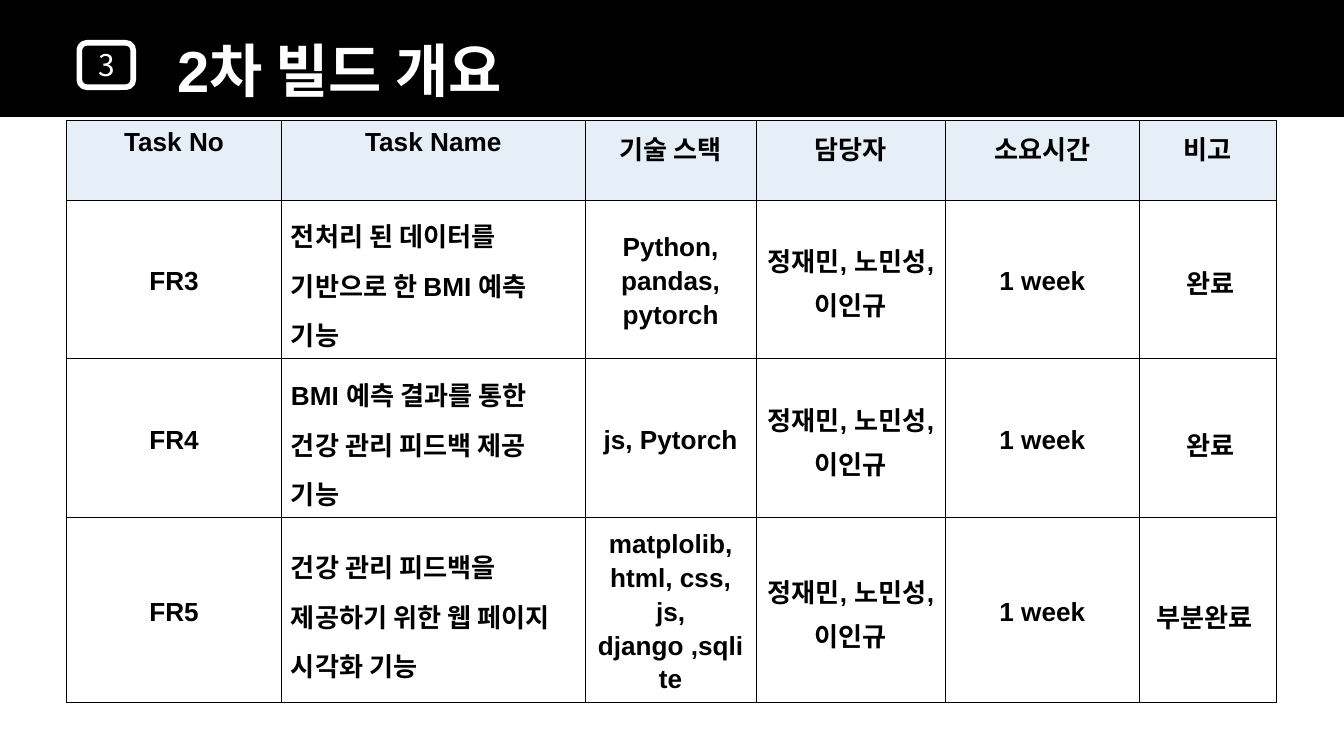
from lxml import etree
from pptx import Presentation
from pptx.dml.color import RGBColor
from pptx.enum.shapes import MSO_SHAPE
from pptx.enum.text import MSO_ANCHOR, PP_ALIGN
from pptx.oxml.ns import qn
from pptx.util import Cm, Pt

CENTER, LEFT = PP_ALIGN.CENTER, PP_ALIGN.LEFT
MIDDLE, TOP = MSO_ANCHOR.MIDDLE, MSO_ANCHOR.TOP
LATIN, KOREAN = "Arial", "Noto Sans CJK KR"
BLACK, WHITE, HEADER_FILL = "000000", "FFFFFF", "E6EEF7"


def color(value):
    return RGBColor.from_string(value)


def format_text(paragraph, size, value, latin=LATIN, bold=True):
    """Style every run, with the Korean font for East Asian letters."""
    for run in paragraph.runs:
        font = run.font
        font.size, font.name, font.bold = Pt(size), latin, bold
        font.color.rgb = color(value)
        etree.SubElement(run._r.get_or_add_rPr(), qn("a:ea"), typeface=KOREAN)


prs = Presentation()
prs.slide_width, prs.slide_height = Cm(25.4), Cm(14.29)
slide = prs.slides.add_slide(prs.slide_layouts[6])

# Title band
band = slide.shapes.add_shape(MSO_SHAPE.RECTANGLE, 0, 0, Cm(25.4), Cm(2.21))
band.shadow.inherit = False
band.fill.solid()
band.fill.fore_color.rgb = color(BLACK)
band.line.fill.background()

section_number = slide.shapes.add_shape(
    MSO_SHAPE.ROUNDED_RECTANGLE, Cm(1.5), Cm(0.81), Cm(1.02), Cm(0.84))
section_number.shadow.inherit = False
section_number.fill.background()
section_number.line.color.rgb = color(WHITE)
section_number.line.width = Pt(3)
section_number.text_frame.text = "3"
section_number.text_frame.vertical_anchor = MIDDLE
section_number.text_frame.paragraphs[0].alignment = CENTER
format_text(section_number.text_frame.paragraphs[0], 16, WHITE, KOREAN, False)

title = slide.shapes.add_textbox(Cm(3.1), Cm(0.53), Cm(10), Cm(1.55))
title.text_frame.word_wrap = True
title.text_frame.text = "2차 빌드 개요"
format_text(title.text_frame.paragraphs[0], 31, WHITE)

# Task table
TEAM, DURATION = "정재민, 노민성, 이인규", "1 week"
tasks = [
    ["Task No", "Task Name", "기술 스택", "담당자", "소요시간", "비고"],
    ["FR3", "전처리 된 데이터를 기반으로 한 BMI 예측 기능",
     "Python, pandas, pytorch", TEAM, DURATION, " 완료"],
    ["FR4", "BMI 예측 결과를 통한 건강 관리 피드백 제공 기능",
     "js, Pytorch", TEAM, DURATION, " 완료"],
    ["FR5", "건강 관리 피드백을 제공하기 위한 웹 페이지 시각화 기능",
     "matplolib, html, css, js, django ,sqlite", TEAM, DURATION, "부분완료 "],
]
column_widths = [4.06, 5.74, 3.23, 3.58, 3.66, 2.59]
row_heights = [1.5, 3, 3, 3.44]
NAME_COLUMN, REMARK_COLUMN = 1, 5

task_table = slide.shapes.add_table(
    len(tasks), len(column_widths), Cm(1.26), Cm(2.28),
    Cm(sum(column_widths)), Cm(sum(row_heights))).table
for column, width in zip(task_table.columns, column_widths):
    column.width = Cm(width)
for row, height in zip(task_table.rows, row_heights):
    row.height = Cm(height)

for r, task in enumerate(tasks):
    for c, entry in enumerate(task):
        cell = task_table.cell(r, c)
        is_header = r == 0
        is_name = c == NAME_COLUMN and not is_header
        is_loose_remark = c == REMARK_COLUMN and r >= 2

        cell.margin_left = cell.margin_right = Cm(0.18)
        cell.margin_top = cell.margin_bottom = Cm(0.05)
        cell.vertical_anchor = TOP if is_header else MIDDLE

        cell.text_frame.text = entry
        paragraph = cell.text_frame.paragraphs[0]
        paragraph.alignment = LEFT if is_name else CENTER
        paragraph.line_spacing = 1.3 if is_name or is_loose_remark else 1.15
        paragraph.space_before = paragraph.space_after = Pt(14 if is_loose_remark else 12)
        format_text(paragraph, 14, BLACK)

        cell_properties = cell._tc.get_or_add_tcPr()
        for side in ("lnL", "lnR", "lnT", "lnB"):
            border = etree.SubElement(cell_properties, qn(f"a:{side}"), w=str(Pt(0.6)))
            border_fill = etree.SubElement(border, qn("a:solidFill"))
            etree.SubElement(border_fill, qn("a:srgbClr"), val=BLACK)
        if is_header:
            cell.fill.solid()
            cell.fill.fore_color.rgb = color(HEADER_FILL)
        else:
            cell.fill.background()

prs.save("out.pptx")
